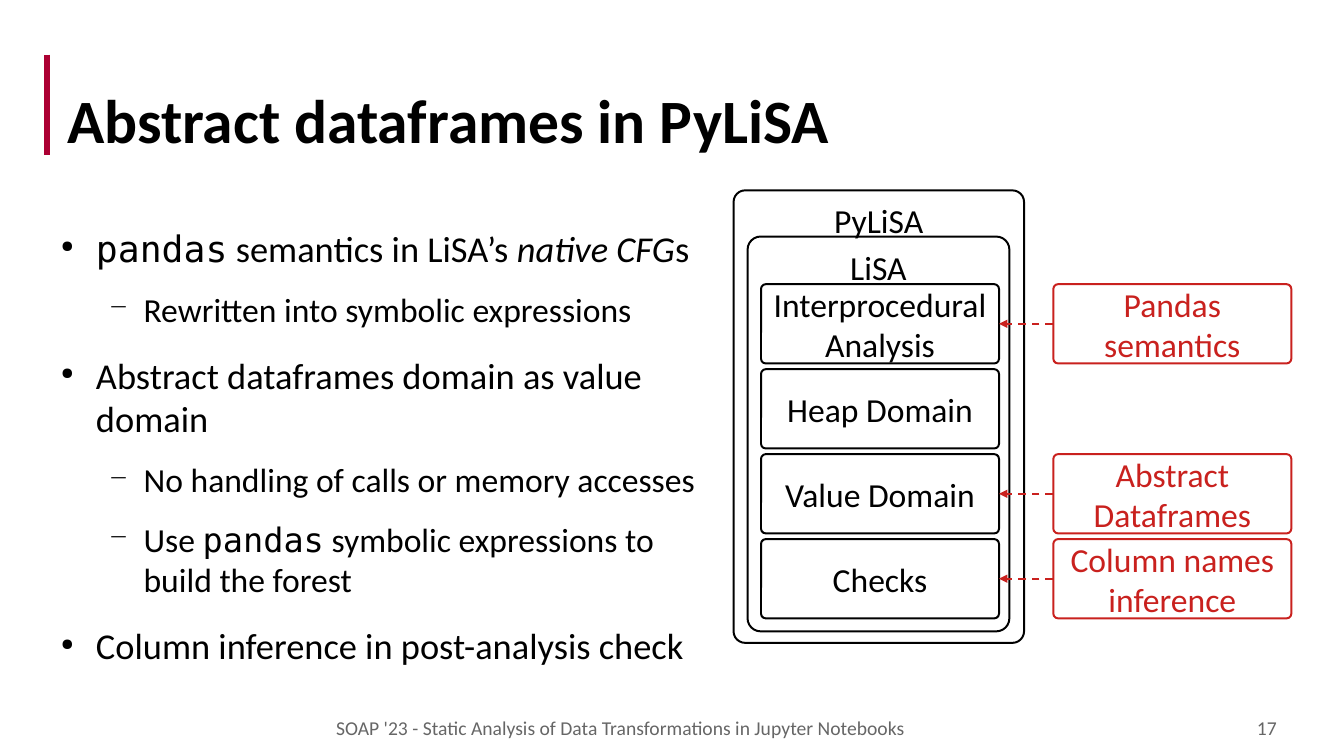
"""Build the slide on abstract dataframes in PyLiSA."""
from lxml import etree
from pptx import Presentation
from pptx.dml.color import RGBColor
from pptx.enum.dml import MSO_LINE
from pptx.enum.shapes import MSO_CONNECTOR, MSO_SHAPE
from pptx.enum.text import MSO_ANCHOR, PP_ALIGN
from pptx.oxml.ns import qn
from pptx.util import Pt

BLACK = RGBColor(0x00, 0x00, 0x00)
CRIMSON = RGBColor(0xAC, 0x00, 0x33)
RED = RGBColor(0xC9, 0x21, 0x1E)
GRAY = RGBColor(0x66, 0x66, 0x66)
ROUND = MSO_SHAPE.ROUNDED_RECTANGLE
STRAIGHT = MSO_CONNECTOR.STRAIGHT
DASH = MSO_LINE.DASH
TOP, MIDDLE, BOTTOM = MSO_ANCHOR.TOP, MSO_ANCHOR.MIDDLE, MSO_ANCHOR.BOTTOM
LEFT, CENTER, RIGHT = PP_ALIGN.LEFT, PP_ALIGN.CENTER, PP_ALIGN.RIGHT
SANS, MONO = "Calibri", "DejaVu Sans Mono"
CODE = {"name": MONO}
STROKE = 1.42

LEVELS = [
    {"size": 26, "before": 17.1, "left": 34, "mark": "●", "scale": 45},
    {"size": 24, "before": 13.7, "left": 68, "mark": "−", "scale": 75},
]
POINTS = [
    (0, [("pandas", CODE), (" semantics in LiSA’s ", {}),
         ("native CFG", {"italic": True}), ("s", {})]),
    (1, [("Rewritten into symbolic expressions", {})]),
    (0, [("Abstract dataframes domain as value domain", {})]),
    (1, [("No handling of calls or memory accesses", {})]),
    (1, [("Use ", {}), ("pandas", CODE),
         (" symbolic expressions to build the forest", {})]),
    (0, [("Column inference in post-analysis check", {})]),
]
RINGS = [
    ("LiSA", 534, 169, 187, 282, 0.05),
    ("PyLiSA", 524, 136, 207.5, 323.2, 0.04),
]
PARTS = [
    ("Interprocedural\nAnalysis", "Pandas semantics"),
    ("Heap Domain", None),
    ("Value Domain", "Abstract Dataframes"),
    ("Checks", "Column names inference"),
]
PART_X, NOTE_X, PART_Y, STEP = 543.6, 752.4, 203, 60.7
PART_W, PART_H = 170, 56.6


class Slide:
    """Hold the style and the current slide."""

    def __init__(self, deck):
        self.page = deck.slides.add_slide(deck.slide_layouts[6])
        self.shapes = self.page.shapes
        self.style = {"name": SANS, "bold": False, "italic": False}

    def frame(self, shape, anchor, across=0, down=0):
        """Set the wrap, anchor and margins of a text frame."""
        frame = shape.text_frame
        values = {"word_wrap": True, "vertical_anchor": anchor,
                  "margin_left": Pt(across), "margin_right": Pt(across),
                  "margin_top": Pt(down), "margin_bottom": Pt(down)}
        for key, value in values.items():
            setattr(frame, key, value)
        return frame

    def run(self, para, text, size, color, **extra):
        """Add one styled run."""
        run = para.add_run()
        run.text = text
        for key, value in {**self.style, "size": Pt(size), **extra}.items():
            setattr(run.font, key, value)
        run.font.color.rgb = color

    def fill(self, frame, text, size, color, align, **extra):
        """Write each line of text as a paragraph."""
        for i, line in enumerate(text.split("\n")):
            para = frame.add_paragraph() if i else frame.paragraphs[0]
            para.alignment = align
            self.run(para, line, size, color, **extra)

    def text(self, text, x, y, w, h, size, color, align=LEFT, **extra):
        """Add a plain text box set on its bottom edge."""
        box = self.shapes.add_textbox(Pt(x), Pt(y), Pt(w), Pt(h))
        self.fill(self.frame(box, BOTTOM), text, size, color, align, **extra)

    def box(self, text, x, y, w, h, color=BLACK, round=0.06, anchor=MIDDLE):
        """Add an outlined round box with a label."""
        box = self.shapes.add_shape(ROUND, Pt(x), Pt(y), Pt(w), Pt(h))
        box.adjustments[0] = round
        box.shadow.inherit = False
        box.fill.background()
        box.line.color.rgb = color
        box.line.width = Pt(STROKE)
        self.fill(self.frame(box, anchor, 8, 4.5), text, 24, color, CENTER)
        return box

    def line(self, x1, y1, x2, y2, color, width):
        """Add a straight line with no shadow."""
        line = self.shapes.add_connector(
            STRAIGHT, Pt(x1), Pt(y1), Pt(x2), Pt(y2))
        line.line.color.rgb = color
        line.line.width = Pt(width)
        etree.SubElement(line._element.spPr, qn("a:effectLst"))
        return line

    def arrow(self, start, end):
        """Join two boxes, from left side to right side, by a dashed arrow."""
        arrow = self.line(0, 0, 0, 0, RED, STROKE)
        arrow.begin_connect(start, 1)
        arrow.end_connect(end, 3)
        arrow.line.dash_style = DASH
        ln = arrow._element.spPr.find(qn("a:ln"))
        etree.SubElement(ln, qn("a:tailEnd"), type="triangle")

    def bullet(self, para, level):
        """Give a paragraph its indent and bullet."""
        look = LEVELS[level]
        para.level = level
        props = para._p.get_or_add_pPr()
        props.set("marL", str(Pt(look["left"])))
        props.set("indent", str(Pt(-25)))
        tint = etree.SubElement(props, qn("a:buClr"))
        etree.SubElement(tint, qn("a:srgbClr"), val=str(BLACK))
        etree.SubElement(props, qn("a:buSzPct"), val=str(look["scale"] * 1000))
        etree.SubElement(props, qn("a:buChar"), char=look["mark"])

    def list(self, points, x, y, w, h):
        """Add a bullet list of two levels."""
        box = self.shapes.add_textbox(Pt(x), Pt(y), Pt(w), Pt(h))
        frame = self.frame(box, TOP)
        for i, (level, runs) in enumerate(points):
            para = frame.add_paragraph() if i else frame.paragraphs[0]
            self.bullet(para, level)
            if i:
                para.space_before = Pt(LEVELS[level]["before"])
            for text, extra in runs:
                self.run(para, text, LEVELS[level]["size"], BLACK, **extra)


def main():
    """Draw the slide and save it."""
    deck = Presentation()
    deck.slide_width, deck.slide_height = Pt(960), Pt(540)
    slide = Slide(deck)
    slide.line(33.4, 39, 33.4, 111, CRIMSON, 4.5)
    slide.text("Abstract dataframes in PyLiSA", 48, 21.6, 864, 90, 44, BLACK,
               bold=True)
    for name, x, y, w, h, round in RINGS:
        slide.box(name, x, y, w, h, round=round, anchor=TOP)
    for i, (name, note) in enumerate(PARTS):
        y = PART_Y + i * STEP
        part = slide.box(name, PART_X, y, PART_W, PART_H)
        if note:
            label = slide.box(note, NOTE_X, y, PART_W, PART_H, RED)
            slide.arrow(label, part)
    slide.list(POINTS, 34.6, 161.3, 468, 320)
    slide.text("SOAP '23 - Static Analysis of Data Transformations "
               "in Jupyter Notebooks", 240, 500.4, 522, 28, 14, GRAY)
    slide.text("17", 784, 500.4, 128, 28, 14, GRAY, RIGHT)
    deck.save("out.pptx")


if __name__ == "__main__":
    main()
